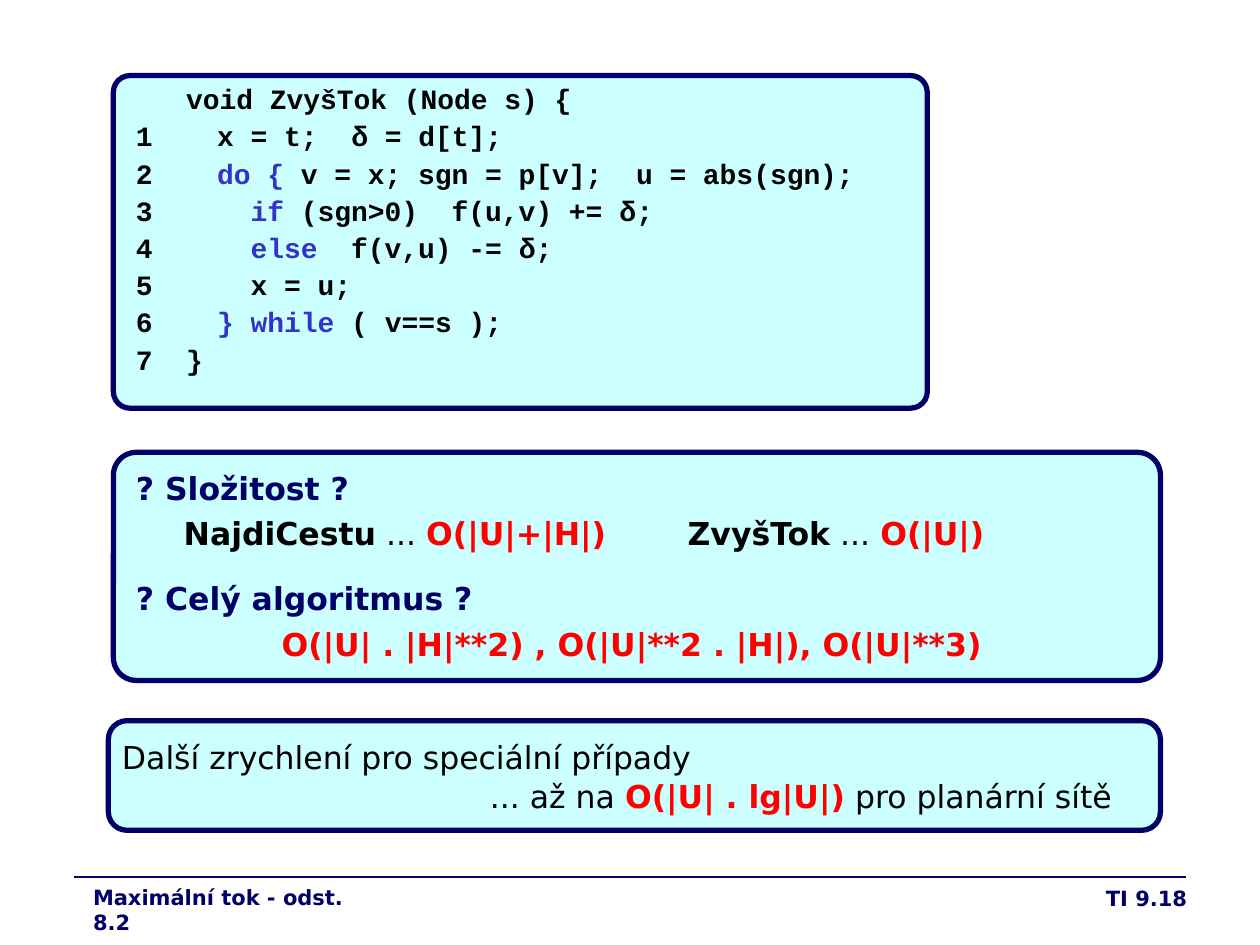
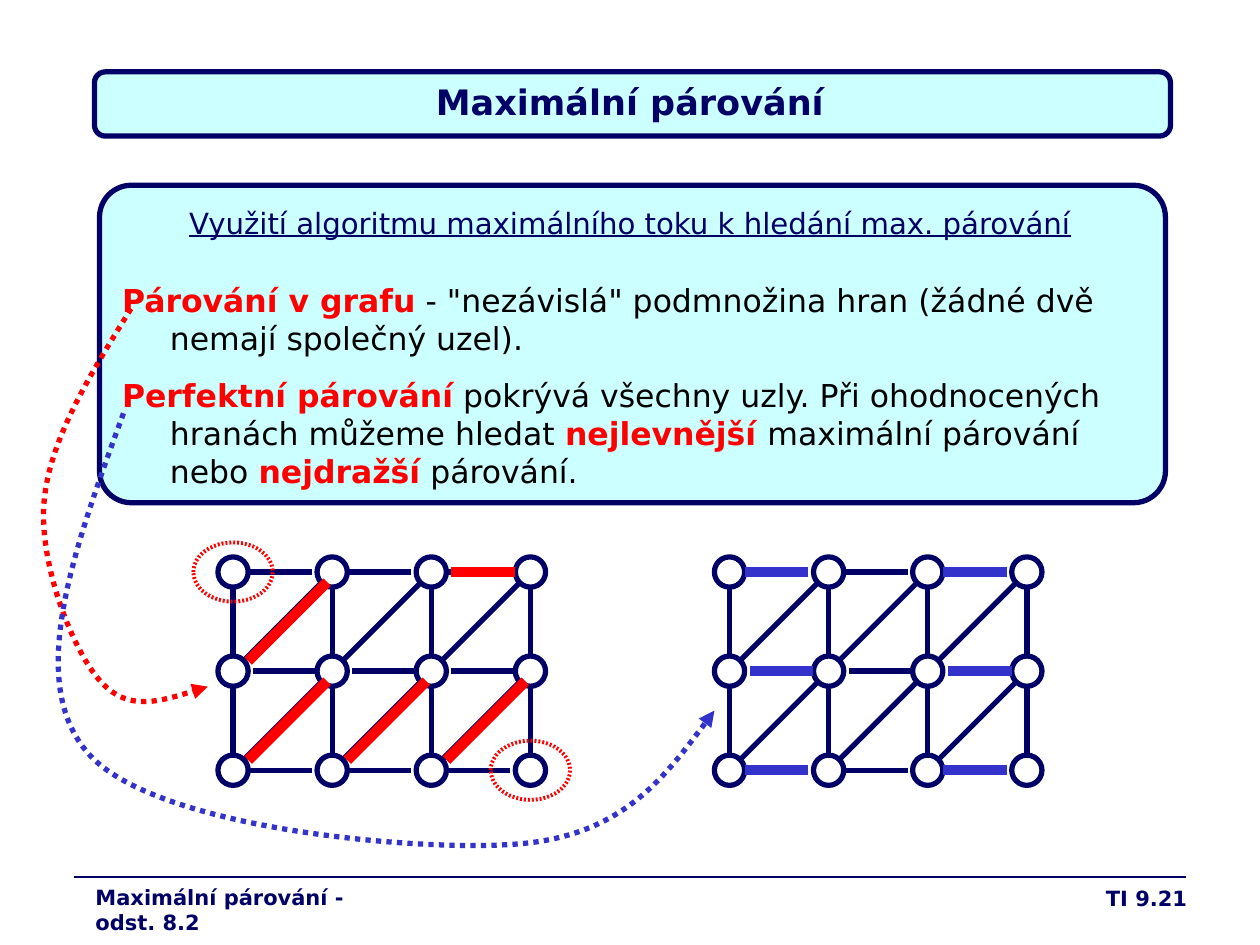
from pptx import Presentation
from pptx.dml.color import RGBColor
from pptx.enum.dml import MSO_LINE
from pptx.enum.shapes import MSO_CONNECTOR, MSO_SHAPE
from pptx.enum.text import MSO_ANCHOR, PP_ALIGN
from pptx.oxml.ns import qn
from pptx.util import Inches, Pt
from lxml import etree

LEFT, CENTER, RIGHT = PP_ALIGN.LEFT, PP_ALIGN.CENTER, PP_ALIGN.RIGHT
TOP, MIDDLE = MSO_ANCHOR.TOP, MSO_ANCHOR.MIDDLE
ROUND, OVAL = MSO_SHAPE.ROUNDED_RECTANGLE, MSO_SHAPE.OVAL
STRAIGHT, DOTS = MSO_CONNECTOR.STRAIGHT, MSO_LINE.ROUND_DOT

COLORS = {"navy": "000066", "ice": "CCFFFF", "black": "000000",
          "red": "FF0000", "blue": "3333CC"}
SANS, MONO = "DejaVu Sans", "Courier New"
HANG = 0.38

# Run styles
KEY = {"color": "blue"}
GREEK = {"font": "Arial"}
RED = {"color": "red", "bold": True}
NAVY = {"color": "navy", "bold": True}
BOLD = {"bold": True}
DELTA = ("δ", GREEK)

# Content: a paragraph is (runs, paragraph format); a run is text or (text, style)
CODE = [
    ["   void ZvyšTok (Node s) {"],
    ["1\t  x = t;  ", DELTA, " = d[t];"],
    ["2\t  ", ("do {", KEY), " v = x; sgn = p[v];  u = abs(sgn);"],
    ["3\t    ", ("if", KEY), " (sgn>0)  f(u,v) += ", DELTA, ";"],
    ["4\t    ", ("else", KEY), "  f(v,u) -= ", DELTA, ";"],
    ["5\t    x = u;"],
    ["6\t  ", ("} while", KEY), " ( v==s );"],
    ["7  }"],
]
COMPLEXITY = [
    ([("? Složitost ?", NAVY)], {}),
    ([("\tNajdiCestu", BOLD), " ... ", ("O(|U|+|H|)\t", RED),
      ("ZvyšTok", BOLD), " ... ", ("O(|U|)", RED)], {"tabs": range(8)}),
    ([("? Celý algoritmus ?", NAVY)], {"spacing": 1.5}),
    ([("O(|U| . |H|**2) , O(|U|**2 . |H|), O(|U|**3)", RED)],
     {"align": CENTER, "hang": 0}),
]
SPEEDUP = [
    (["Další zrychlení pro speciální případy"], {"spacing": 1.7}),
    (["... až na ", ("O(|U| . lg|U|)", RED), " pro planární sítě"],
     {"spacing": 0.8, "left": 2.92, "hang": 0}),
]
MATCHING_TITLE = "Maximální párování"
MATCHING_USE = "Využití algoritmu maximálního toku k hledání max. párování"
MATCHING = [
    ([("Párování v grafu", RED),
      " - \"nezávislá\" podmnožina hran (žádné dvě nemají společný uzel)."], {}),
    ([("Perfektní párování", RED),
      " pokrývá všechny uzly. Při ohodnocených hranách můžeme hledat ",
      ("nejlevnější ", RED), "maximální párování nebo ",
      ("nejdražší", RED), " párování."], {"before": 11.2}),
]

# Lattice graphs: nodes sit on a grid of COLS x ROWS, (column, row) from top left
COLS, ROWS, RADIUS = 4, 3, 0.12
PITCH = 2.36 / (COLS - 1)
GRID_TOP = 4.54
ROW_SHIFT = [0, 0.04, 0]
GRAPHS = [
    {"left": 1.85, "color": "red", "nudge": 0.04, "unmatched": [(0, 0), (3, 2)],
     "matched": [("diagonal", 0, 0), ("diagonal", 0, 1), ("diagonal", 1, 1),
                 ("diagonal", 2, 1), ("across", 2, 0)]},
    {"left": 5.79, "color": "blue", "nudge": 0, "unmatched": [],
     "matched": [("across", c, r) for r in range(ROWS) for c in (0, 2)]},
]
# Curved arrows: start point, then control, control, end for each Bezier piece
CURVES = [
    ("red", [(1.04, 2.45), (0.72, 2.97), (0.39, 3.49), (0.35, 3.99),
             (0.31, 4.48), (0.58, 5.17), (0.8, 5.41),
             (1.02, 5.65), (1.33, 5.55), (1.65, 5.45)]),
    ("blue", [(0.98, 3.28), (0.59, 4.35), (0.19, 5.42), (0.71, 5.99),
              (1.23, 6.57), (3.27, 6.76), (4.09, 6.7),
              (4.92, 6.64), (5.3, 6.14), (5.67, 5.64)]),
]


def rgb(name):
    return RGBColor.from_string(COLORS[name])


def box(*lengths):
    return [Inches(v) for v in lengths]


def set_line(shape, color, width):
    shape.line.color.rgb = rgb(color)
    shape.line.width = Pt(width)


def write(tf, paragraphs, size=18, font=SANS, color="black", bold=False,
          underline=False, align=LEFT, hang=HANG, before=4.5, spacing=None,
          anchor=TOP):
    """Fill a text frame; paragraph and run formats override the keywords."""
    tf.word_wrap = True
    tf.vertical_anchor = anchor
    for i, (runs, fmt) in enumerate(paragraphs):
        p = tf.paragraphs[0] if i == 0 else tf.add_paragraph()
        p.alignment = fmt.get("align", align)
        p.line_spacing = fmt.get("spacing", spacing)
        p.space_before = Pt(fmt.get("before", before) if i else 0)
        indent = fmt.get("hang", hang)
        pPr = p._p.get_or_add_pPr()
        pPr.set("marL", str(Inches(fmt.get("left", indent))))
        pPr.set("indent", str(-Inches(indent)))
        if "tabs" in fmt:
            pPr.set("defTabSz", str(Inches(1)))
            tabs = etree.SubElement(pPr, qn("a:tabLst"))
            for stop in fmt["tabs"]:
                etree.SubElement(tabs, qn("a:tab"),
                                 pos=str(Inches(HANG + stop)), algn="l")
        for run in runs:
            text, style = (run, {}) if isinstance(run, str) else run
            r = p.add_run()
            r.text = text
            r.font.size = Pt(size)
            r.font.name = style.get("font", font)
            r.font.bold = style.get("bold", bold)
            r.font.underline = underline
            r.font.color.rgb = rgb(style.get("color", color))


def add_text(slide, at, paragraphs, **fmt):
    write(slide.shapes.add_textbox(*box(*at)).text_frame, paragraphs, **fmt)


def add_card(slide, at, radius):
    sp = slide.shapes.add_shape(ROUND, *box(*at))
    sp.adjustments[0] = radius
    sp.shadow.inherit = False
    sp.fill.solid()
    sp.fill.fore_color.rgb = rgb("ice")
    set_line(sp, "navy", 3)


def add_ring(slide, center, width, height, color, weight):
    x, y = center
    sp = slide.shapes.add_shape(
        OVAL, *box(x - width / 2, y - height / 2, width, height))
    sp.shadow.inherit = False
    sp.fill.background()
    set_line(sp, color, weight)
    return sp


def add_fine_dots(sp):
    """Dash the outline with dots and gaps of half the line width."""
    dash = etree.SubElement(sp.line._get_or_add_ln(), qn("a:custDash"))
    etree.SubElement(dash, qn("a:ds"), d="50000", sp="50000")


def add_segment(slide, start, end, color="navy", width=3):
    line = slide.shapes.add_connector(STRAIGHT, *box(*start, *end))
    set_line(line, color, width)
    etree.SubElement(line._element.spPr, qn("a:effectLst"))


def add_curved_arrow(slide, color, points):
    """Outline the control points, then turn each three into one Bezier piece."""
    start, *rest = [box(*pt) for pt in points]
    builder = slide.shapes.build_freeform(*start)
    builder.add_line_segments(rest, close=False)
    sp = builder.convert_to_shape()
    steps = list(sp._element.iter(qn("a:lnTo")))
    for i in range(0, len(steps), 3):
        curve = etree.Element(qn("a:cubicBezTo"))
        steps[i].addprevious(curve)
        for step in steps[i:i + 3]:
            curve.append(step[0])
            step.getparent().remove(step)
    sp.shadow.inherit = False
    sp.fill.background()
    set_line(sp, color, 3)
    sp.line.dash_style = DOTS
    etree.SubElement(sp.line._get_or_add_ln(), qn("a:tailEnd"), type="triangle")


def add_graph(slide, left, color, nudge, unmatched, matched):
    def node(c, r):
        return left + c * PITCH, GRID_TOP + r * PITCH

    def edge(kind, c, r, shift=0):
        x, y = node(c, r)
        far = PITCH - 0.08
        if kind == "down":
            return (x, y + RADIUS), (x, y + PITCH - RADIUS)
        if kind == "across":
            x += ROW_SHIFT[r] + shift
            return (x + PITCH - 0.16, y), (x + RADIUS, y)
        return (x + far + shift, y + 0.08), (x + 0.08 + shift, y + far)

    cells = [(c, r) for r in range(ROWS) for c in range(COLS)]
    for c, r in cells:
        add_ring(slide, node(c, r), 2 * RADIUS, 2 * RADIUS, "navy", 3)
        if r < ROWS - 1:
            add_segment(slide, *edge("down", c, r))
        if c < COLS - 1:
            add_segment(slide, *edge("across", c, r))
        if r < ROWS - 1 and c < COLS - 1:
            add_segment(slide, *edge("diagonal", c, r))
    for place in matched:
        add_segment(slide, *edge(*place, nudge), color, 6)
    for place in unmatched:
        add_fine_dots(add_ring(slide, node(*place), 0.63, 0.47, color, 2.25))


def add_slide(prs, layout, topic, topic_left, number):
    """Add a slide with the footer rule, topic and page number."""
    slide = prs.slides.add_slide(prs.slide_layouts[layout])
    footer = {"size": 12, "color": "navy", "bold": True, "hang": 0}
    add_segment(slide, (0.59, 6.96), (9.41, 6.96), width=0.75)
    add_text(slide, (7.44, 6.98, 2.08, 0.36), [([number], {})], align=RIGHT, **footer)
    add_text(slide, (topic_left, 6.97, 2.23, 0.3), [([topic], {})], **footer)
    return slide


def build_complexity(prs):
    slide = add_slide(prs, 6, "Maximální tok - odst. 8.2", 0.64, "TI 9.18")
    add_card(slide, (0.86, 5.72, 8.35, 0.87), 0.17)
    add_card(slide, (0.9, 3.59, 8.31, 1.81), 0.1)
    add_card(slide, (0.9, 0.6, 6.46, 2.64), 0.05)
    add_text(slide, (0.98, 0.63, 6.34, 2.61), [(line, {}) for line in CODE],
             size=16, font=MONO, bold=True, before=4, spacing=0.9)
    add_text(slide, (0.98, 3.67, 8.07, 1.85), COMPLEXITY)
    add_text(slide, (0.87, 5.6, 8.23, 0.94), SPEEDUP)


def build_matching(prs):
    slide = add_slide(prs, 5, "Maximální párování - odst. 8.2", 0.66, "TI 9.21")
    add_card(slide, (0.79, 1.47, 8.46, 2.52), 0.1)
    add_card(slide, (0.75, 0.57, 8.54, 0.51), 0.17)
    title = slide.shapes.title
    title.left, title.top, title.width, title.height = box(0.75, 0.48, 8.5, 0.65)
    write(title.text_frame, [([MATCHING_TITLE], {})], size=20, color="navy",
          bold=True, align=CENTER, hang=0, anchor=MIDDLE)
    slide.shapes._spTree.append(title._element)  # bring the title above its band
    add_text(slide, (0.75, 1.58, 8.5, 0.39), [([MATCHING_USE], {})], size=16.7,
             color="navy", underline=True, align=CENTER, hang=0)
    add_text(slide, (0.87, 2.18, 8.38, 1.61), MATCHING)
    for graph in GRAPHS:
        add_graph(slide, **graph)
    for color, points in CURVES:
        add_curved_arrow(slide, color, points)


def main():
    prs = Presentation()
    prs.slide_width, prs.slide_height = box(10, 7.5)
    build_complexity(prs)
    build_matching(prs)
    prs.save("out.pptx")


if __name__ == "__main__":
    main()
